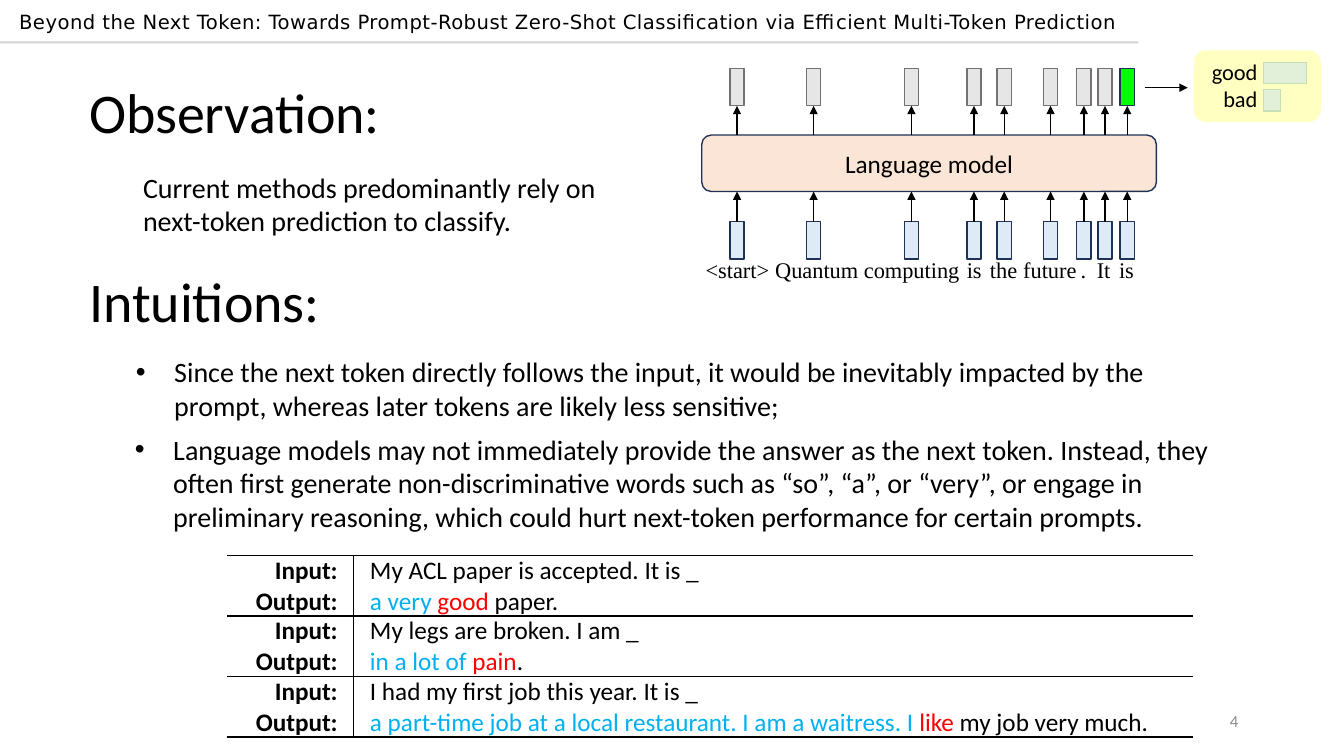
from lxml import etree
from pptx import Presentation
from pptx.dml.color import RGBColor
from pptx.enum.shapes import MSO_CONNECTOR, MSO_SHAPE
from pptx.enum.text import MSO_ANCHOR, MSO_AUTO_SIZE, PP_ALIGN
from pptx.oxml.ns import qn
from pptx.util import Emu, Pt

PX = 9144  # one hundredth of an inch
RECT, ROUNDED = MSO_SHAPE.RECTANGLE, MSO_SHAPE.ROUNDED_RECTANGLE
LEFT, CENTER, RIGHT = PP_ALIGN.LEFT, PP_ALIGN.CENTER, PP_ALIGN.RIGHT
MIDDLE, BOTTOM = MSO_ANCHOR.MIDDLE, MSO_ANCHOR.BOTTOM
GROW = MSO_AUTO_SIZE.SHAPE_TO_FIT_TEXT
STRAIGHT = MSO_CONNECTOR.STRAIGHT
TOP_SITE, BOTTOM_SITE = 0, 2
BLACK, NAVY, BLUE, RED = "000000", "1E3256", "00B0F0", "FF0000"
TIGHT = (1, 1, 0, 0)


def px(*lengths):
    return [Emu(length * PX) for length in lengths]


def rgb(color):
    return RGBColor.from_string(color)


def child(parent, tag, **attributes):
    element = etree.SubElement(parent, qn(tag))
    for key, value in attributes.items():
        element.set(key, str(value))
    return element


class SlideBuilder:
    def __init__(self, slide, font):
        self.slide, self.font = slide, font

    def fill_text(self, frame, paragraphs, align=LEFT, insets=None, bullet=False,
                  line_spacing=None, spacing=None, **style):
        """Fill a frame; each paragraph is a list of (text, color) runs."""
        if insets:
            sides = ("margin_left", "margin_top", "margin_right", "margin_bottom")
            for side, value in zip(sides, px(*insets)):
                setattr(frame, side, value)
        style = {"name": self.font, "size": 20, **style}
        style["size"] = Pt(style["size"])
        for index, runs in enumerate(paragraphs):
            paragraph = frame.add_paragraph() if index else frame.paragraphs[0]
            paragraph.alignment = align
            if line_spacing:
                paragraph.line_spacing = Pt(line_spacing)
            if bullet:
                properties = paragraph._p.get_or_add_pPr()
                properties.set("marL", str(38 * PX))
                properties.set("indent", str(-38 * PX))
                child(properties, "a:buFont", typeface="Arial")
                child(properties, "a:buChar", char="•")
            for text, color in runs:
                run = paragraph.add_run()
                run.text = text
                for key, value in style.items():
                    setattr(run.font, key, value)
                run.font.color.rgb = rgb(color)
                if spacing:
                    run._r.get_or_add_rPr().set("spc", str(spacing))

    def text(self, box, *lines, wrap=True, anchor=None, color=BLACK, **style):
        frame = self.slide.shapes.add_textbox(*px(*box)).text_frame
        frame.word_wrap = wrap
        if anchor:
            frame.vertical_anchor = anchor
        else:
            frame.auto_size = GROW
        self.fill_text(frame, [[(line, color)] for line in lines], **style)

    def shape(self, kind, box, fill, line=None, label=None, **style):
        shape = self.slide.shapes.add_shape(kind, *px(*box))
        shape.shadow.inherit = False
        shape.fill.solid()
        shape.fill.fore_color.rgb = rgb(fill)
        if line:
            shape.line.color.rgb = rgb(line)
            shape.line.width = Pt(1)
        else:
            shape.line.fill.background()
        if label:
            shape.text_frame.vertical_anchor = MIDDLE
            self.fill_text(shape.text_frame, [[(label, BLACK)]], CENTER, **style)
        return shape

    def line(self, start, end, color=BLACK, width=1, arrow=True, opacity=None):
        connector = self.slide.shapes.add_connector(STRAIGHT, *px(*start, *end))
        connector.line.color.rgb = rgb(color)
        connector.line.width = Pt(width)
        properties = connector._element.spPr
        if opacity:
            fill = properties.find(".//" + qn("a:srgbClr"))
            child(fill, "a:alpha", val=opacity * 1000)
        if arrow:
            child(properties.find(qn("a:ln")), "a:tailEnd", type="triangle")
        child(properties, "a:effectLst")
        return connector

    def table(self, box, column_widths, rows, aligns, bolds, **style):
        """Draw rules around every row and between the columns only."""
        table = self.slide.shapes.add_table(
            len(rows), len(column_widths), *px(*box)).table
        table.first_row = table.horz_banding = False
        for column, width in zip(table.columns, px(*column_widths)):
            column.width = width
        last = len(column_widths) - 1
        for r, row in enumerate(rows):
            for c, paragraphs in enumerate(row):
                cell = table.cell(r, c)
                cell.vertical_anchor = BOTTOM
                for side, value in zip(("left", "top", "right", "bottom"),
                                       px(16, 0, 16, 0)):
                    setattr(cell, "margin_" + side, value)
                self.fill_text(cell.text_frame, paragraphs, aligns[c],
                               bold=bolds[c], **style)
                self.borders(cell, {"L": c > 0, "R": c < last, "T": True, "B": True})
                cell.fill.background()

    def borders(self, cell, visible):
        properties = cell._tc.get_or_add_tcPr()
        for side, shown in visible.items():
            border = child(properties, "a:ln" + side, w=Pt(1))
            if shown:
                child(child(border, "a:solidFill"), "a:srgbClr", val=BLACK)
            else:
                child(border, "a:noFill")


# word, left and width of its label, centre of its token box
TOKENS = [
    ("<start>", 690, 84, 731), ("Quantum", 759, 104, 807),
    ("computing", 847, 116, 904), ("is", 949, 35, 966), ("the", 972, 48, 996),
    ("future", 1005, 74, 1042), (".", 1062, 26, 1075), ("It", 1078, 34, 1096),
    ("is", 1100, 35, 1118),
]
TOKEN_WIDTH, TOKEN_HEIGHT = 14, 37
OUTPUT_TOP, MODEL_TOP, MODEL_BOTTOM, INPUT_TOP = 68, 134, 190, 220

# prompt, then the neutral, decisive and remaining parts of the answer
EXAMPLES = [
    ("My ACL paper is accepted. It is _", "a very ", "good", " paper."),
    ("My legs are broken. I am _", "in a lot of ", "pain", "."),
    ("I had my first job this year. It is _",
     "a part-time job at a local restaurant. I am a waitress. I ",
     "like", " my job very much."),
]


def draw_model(page):
    page.shape(ROUNDED, (696, MODEL_TOP, 451, MODEL_BOTTOM - MODEL_TOP),
               "FBE5D6", NAVY, "Language model", size=18)
    for index, (word, left, width, center) in enumerate(TOKENS):
        page.text((left, 249, width, 37), word, wrap=False, size=16,
                  name="Times New Roman")
        is_next = index == len(TOKENS) - 1
        token_left = center - TOKEN_WIDTH // 2
        output = page.shape(
            RECT, (token_left, OUTPUT_TOP, TOKEN_WIDTH, TOKEN_HEIGHT),
            "00FF00" if is_next else "E7E6E6", NAVY if is_next else "767171")
        token = page.shape(
            RECT, (token_left, INPUT_TOP, TOKEN_WIDTH, TOKEN_HEIGHT), "DEEBF7", NAVY)
        predicts = page.line((center, MODEL_TOP), (center, OUTPUT_TOP + TOKEN_HEIGHT))
        predicts.end_connect(output, BOTTOM_SITE)
        feeds = page.line((center, INPUT_TOP), (center, MODEL_BOTTOM))
        feeds.begin_connect(token, TOP_SITE)


def draw_scores(page):
    page.line((1136, 87), (1178, 87))
    page.shape(ROUNDED, (1184, 50, 126, 71), "FFFFC1")
    for top, width in ((62, 43), (89, 17)):
        page.shape(RECT, (1253, top, width, 21), "E2F0D9", "C5E0B4")
    page.text((1183, 53, 74, 64), "good", "bad", size=16, align=RIGHT)


def main():
    presentation = Presentation()
    presentation.slide_width, presentation.slide_height = px(1333, 750)
    slide = presentation.slides.add_slide(presentation.slide_layouts[6])
    page = SlideBuilder(slide, "Calibri")

    page.text((18, 12, 1310, 67), "Beyond the Next Token: Towards Prompt-Robust "
              "Zero-Shot Classification via Efficient Multi-Token Prediction",
              insets=TIGHT, name="DejaVu Sans", size=14, line_spacing=14.7, spacing=30)
    page.line((0, 42), (1129, 42), "AFABAB", 1.5, arrow=False, opacity=53)
    for top, heading in ((76, "Observation:"), (263, "Intuitions:")):
        page.text((88, top, 474, 68), heading, insets=TIGHT, size=40, spacing=-10)
    page.text((132, 164, 495, 77), "Current methods predominantly rely on "
              "next-token prediction to classify.")
    page.text((125, 347, 1097, 77), "Since the next token directly follows the input, "
              "it would be inevitably impacted by the prompt, whereas later tokens "
              "are likely less sensitive;", bullet=True)
    page.text((124, 424, 1097, 145), "Language models may not immediately provide the "
              "answer as the next token. Instead, they often first generate "
              "non-discriminative words such as “so”, “a”, or “very”, or engage in "
              "preliminary reasoning, which could hurt next-token performance for "
              "certain prompts.", bullet=True)
    draw_model(page)
    draw_scores(page)

    labels = [[("Input:", BLACK)], [("Output:", BLACK)]]
    rows = [(labels, [[(prompt, BLACK)],
                      [(neutral, BLUE), (decisive, RED), (rest, BLACK)]])
            for prompt, neutral, decisive, rest in EXAMPLES]
    page.table((225, 551, 958, 180), (126, 832), rows, (RIGHT, LEFT), (True, False),
               size=18)
    page.text((938, 695, 300, 40), "4", anchor=MIDDLE, align=RIGHT, size=12,
              color="8C8C8C")
    presentation.save("out.pptx")


if __name__ == "__main__":
    main()
